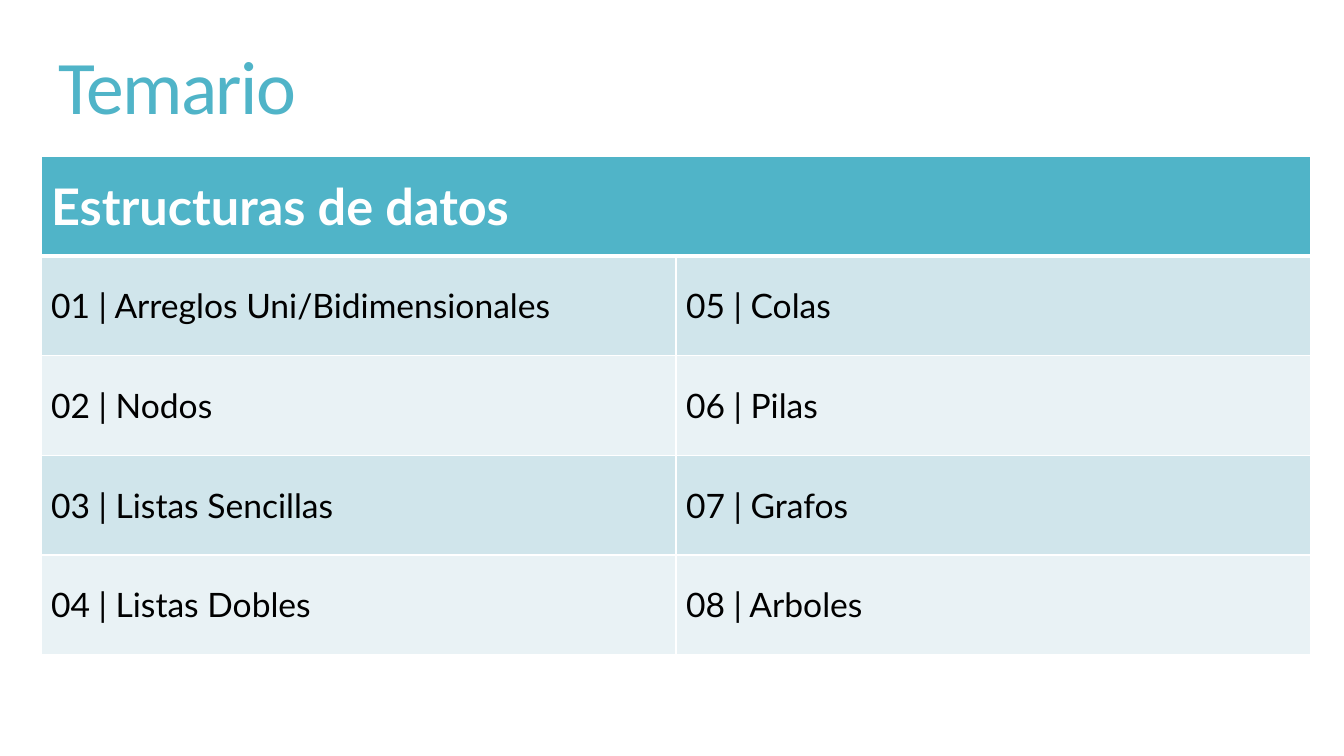
from dataclasses import dataclass

from lxml.etree import SubElement
from pptx import Presentation
from pptx.dml.color import RGBColor
from pptx.enum.text import MSO_ANCHOR, PP_ALIGN
from pptx.oxml.ns import qn
from pptx.util import Pt

EMU_PER_PIXEL = 914400 / 100.8


@dataclass(frozen=True)
class Theme:
    accent: str = "50B4C8"
    white: str = "FFFFFF"
    black: str = "000000"
    bands: tuple = ("D0E5EB", "E9F2F5")
    title_font: str = "Calibri"
    table_font: str = "Lato"
    title_size: int = 54
    header_size: int = 36
    topic_size: int = 24
    line: int = 1
    header_line: int = 3


THEME = Theme()
TOPICS = [
    "Arreglos Uni/Bidimensionales", "Nodos", "Listas Sencillas", "Listas Dobles",
    "Colas", "Pilas", "Grafos", "Arboles",
]


def px(pixels):
    return round(pixels * EMU_PER_PIXEL)


def add_run(paragraph, text, font_name, size, color, bold=False):
    run = paragraph.add_run()
    run.text = text
    run.font.name = font_name
    run.font.size = Pt(size)
    run.font.bold = bold
    run.font.color.rgb = RGBColor.from_string(color)
    return run


def set_borders(cell, bottom_width):
    properties = cell._tc.get_or_add_tcPr()
    widths = {"a:lnL": THEME.line, "a:lnR": THEME.line, "a:lnT": THEME.line, "a:lnB": bottom_width}
    for tag, width in widths.items():
        border = SubElement(properties, qn(tag), w=str(Pt(width)))
        fill = SubElement(border, qn("a:solidFill"))
        SubElement(fill, qn("a:srgbClr"), val=THEME.white)


def format_cell(cell, color, bottom_width=THEME.line):
    # Borders come before the fill in the cell properties
    set_borders(cell, bottom_width)
    cell.fill.solid()
    cell.fill.fore_color.rgb = RGBColor.from_string(color)
    cell.vertical_anchor = MSO_ANCHOR.MIDDLE


def place_title(slide, left, top, width, height):
    title = slide.shapes.title
    title.left, title.top, title.width, title.height = map(px, (left, top, width, height))
    frame = title.text_frame
    frame.word_wrap = True
    frame.vertical_anchor = MSO_ANCHOR.MIDDLE
    paragraph = frame.paragraphs[0]
    paragraph.alignment = PP_ALIGN.LEFT
    paragraph.line_spacing = 0.85
    run = add_run(paragraph, "Temario", THEME.title_font, THEME.title_size, THEME.accent)
    run._r.get_or_add_rPr().set("spc", "-120")


def add_topics_table(slide, left, top, width, height):
    column_count = 2
    topic_rows = len(TOPICS) // column_count
    row_count = topic_rows + 1
    frame = slide.shapes.add_table(row_count, column_count, *map(px, (left, top, width, height)))
    table = frame.table
    for row in table.rows:
        row.height = px(height / row_count)

    # Header across both columns
    for cell in table.rows[0].cells:
        format_cell(cell, THEME.accent, THEME.header_line)
    header = table.cell(0, 0)
    header.merge(table.cell(0, column_count - 1))
    add_run(header.text_frame.paragraphs[0], "Estructuras de datos",
            THEME.table_font, THEME.header_size, THEME.white, bold=True)

    # Numbered topics, down each column in turn
    for index, topic in enumerate(TOPICS):
        column, row = divmod(index, topic_rows)
        cell = table.cell(row + 1, column)
        format_cell(cell, THEME.bands[row % 2])
        add_run(cell.text_frame.paragraphs[0], f"{index + 1:02} | {topic}",
                THEME.table_font, THEME.topic_size, THEME.black)


def build_agenda_slide(presentation):
    slide = presentation.slides.add_slide(presentation.slide_layouts[5])
    place_title(slide, 48, 0, 1188, 182)
    add_topics_table(slide, 41, 156, 1270, 499)


presentation = Presentation()
presentation.slide_width = px(1344)
presentation.slide_height = px(756)
build_agenda_slide(presentation)
presentation.save("out.pptx")
